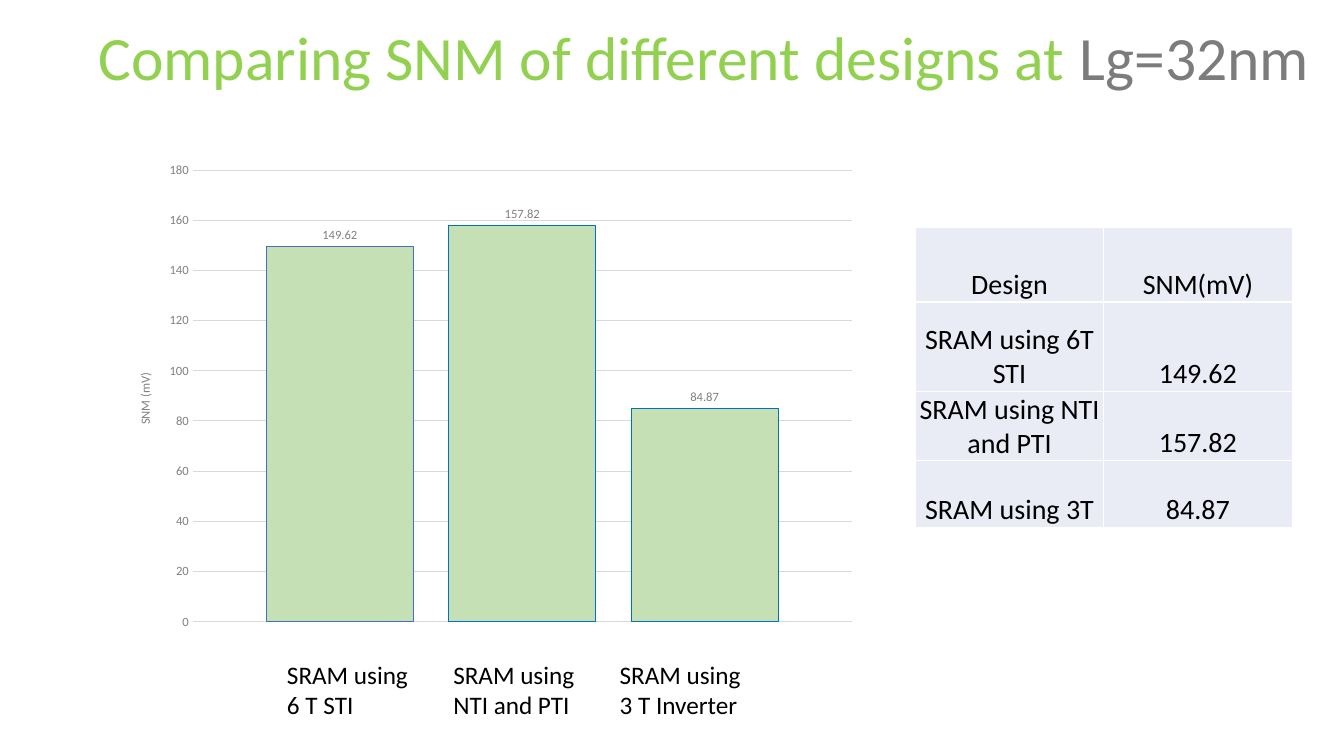
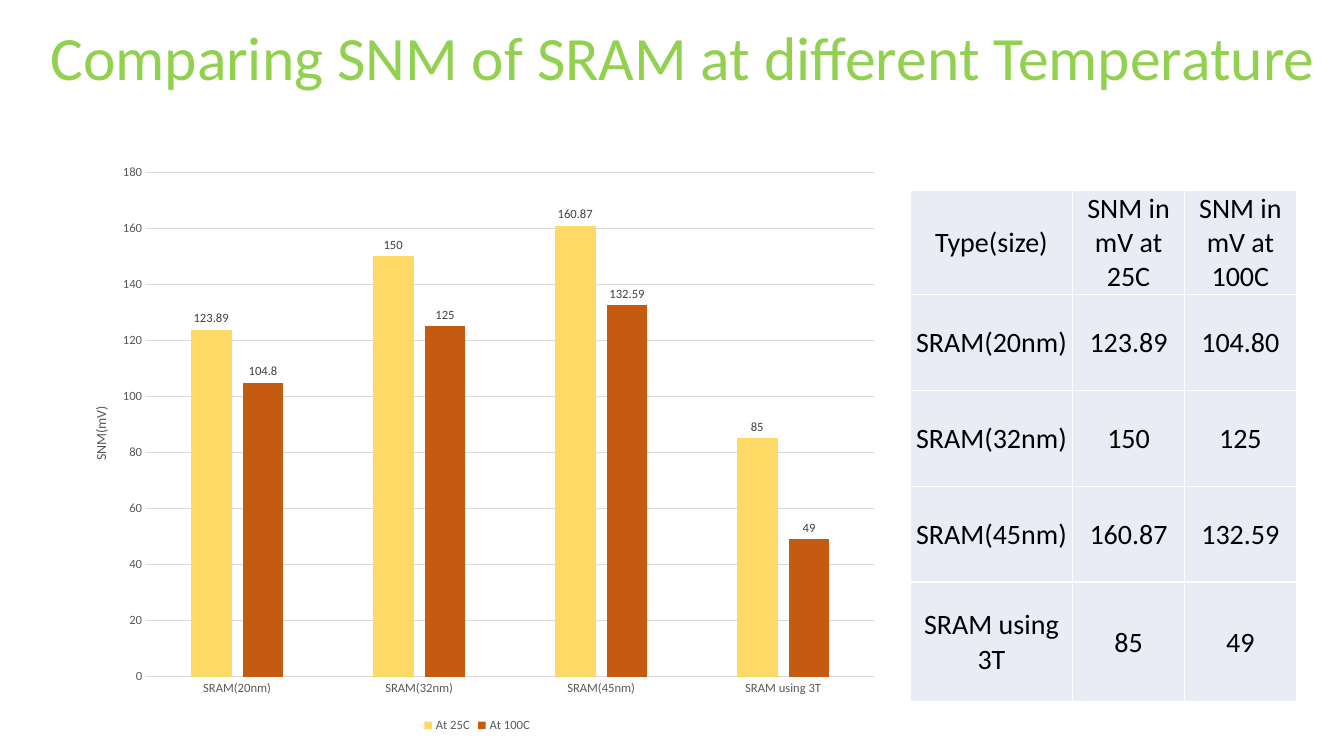
from dataclasses import dataclass
from typing import Optional

from lxml import etree
from pptx import Presentation
from pptx.chart.data import CategoryChartData
from pptx.dml.color import RGBColor
from pptx.enum import chart as ch, text as tx
from pptx.oxml import ns
from pptx.util import Pt

# Shared look
FONT = "Calibri"
LIME = RGBColor(0x92, 0xD0, 0x50)
SLATE = RGBColor(0x7C, 0x7C, 0x7C)
BLACK = RGBColor(0, 0, 0)
GREY = RGBColor(0x80, 0x80, 0x80)
DARK = RGBColor(0x59, 0x59, 0x59)
INK = RGBColor(0x40, 0x40, 0x40)
RULE = RGBColor(0xD9, 0xD9, 0xD9)
CELL = RGBColor(0xE9, 0xEB, 0xF5)
MINT = RGBColor(0xC5, 0xE0, 0xB4)
BLUE = RGBColor(0x43, 0x6F, 0xC0)
AZURE = RGBColor(0x00, 0x70, 0xC0)
GOLD = RGBColor(0xFF, 0xD9, 0x66)
RUST = RGBColor(0xC5, 0x5A, 0x11)


@dataclass
class Box:
    x: float
    y: float
    w: float
    h: float

    def pts(self) -> tuple:
        return Pt(self.x), Pt(self.y), Pt(self.w), Pt(self.h)


@dataclass
class Bar:
    name: str
    vals: list
    fill: RGBColor
    line: Optional[RGBColor] = None


@dataclass
class Graph:
    box: Box
    plot: tuple  # inner plot area, as fractions of the chart
    cats: list
    bars: list
    gap: int
    lap: int
    unit: str
    unit_y: float
    unit_size: float
    tone: RGBColor
    mark: RGBColor
    keyed: bool  # show category names and legend


@dataclass
class Grid:
    box: Box
    cols: list
    rows: list
    cells: list
    anchor: tx.MSO_ANCHOR


def style(font, size: float, color: RGBColor) -> None:
    font.name, font.size, font.bold = FONT, Pt(size), False
    font.color.rgb = color


def add_run(par, words: str, size: float, color: RGBColor) -> None:
    run = par.add_run()
    run.text = words
    style(run.font, size, color)


def add_title(slide, box: Box, align, parts: list) -> None:
    title = slide.shapes.title
    title.left, title.top, title.width, title.height = box.pts()
    frame = title.text_frame
    frame.word_wrap = True
    frame.auto_size = tx.MSO_AUTO_SIZE.NONE
    frame.vertical_anchor = tx.MSO_ANCHOR.MIDDLE
    par = frame.paragraphs[0]
    par.alignment = align
    for words, color in parts:
        add_run(par, words, 44, color)


def add_label(slide, box: Box, lines: list) -> None:
    frame = slide.shapes.add_textbox(*box.pts()).text_frame
    frame.word_wrap = True
    frame.margin_left = frame.margin_right = 0
    for i, line in enumerate(lines):
        par = frame.add_paragraph() if i else frame.paragraphs[0]
        add_run(par, line, 18, BLACK)


def set_layout(node, spot: int, inner: bool, **sizes: float) -> None:
    """Give a chart part a fixed place inside the chart."""
    for old in node.findall(ns.qn("c:layout")):
        node.remove(old)
    layout = etree.Element(ns.qn("c:layout"))
    node.insert(spot, layout)
    manual = etree.SubElement(layout, ns.qn("c:manualLayout"))
    if inner:
        etree.SubElement(manual, ns.qn("c:layoutTarget")).set("val", "inner")
    for tag in ("xMode", "yMode"):
        etree.SubElement(manual, ns.qn("c:" + tag)).set("val", "edge")
    for tag, val in sizes.items():
        etree.SubElement(manual, ns.qn("c:" + tag)).set("val", str(val))


def add_graph(slide, g: Graph) -> None:
    data = CategoryChartData()
    data.categories = g.cats
    for bar in g.bars:
        data.add_series(bar.name, bar.vals)
    kind = ch.XL_CHART_TYPE.COLUMN_CLUSTERED
    chart = slide.shapes.add_chart(kind, *g.box.pts(), data).chart
    style(chart.font, 10, BLACK)
    chart.has_title = False
    chart.has_legend = g.keyed
    if g.keyed:
        chart.legend.position = ch.XL_LEGEND_POSITION.BOTTOM
        chart.legend.include_in_layout = False
        style(chart.legend.font, 9, g.tone)

    # Bars and their values
    plot = chart.plots[0]
    plot.vary_by_categories = False
    plot.gap_width, plot.overlap = g.gap, g.lap
    plot.has_data_labels = True
    marks = plot.data_labels
    marks.show_value = True
    marks.position = ch.XL_LABEL_POSITION.OUTSIDE_END
    style(marks.font, 9, g.mark)
    for bar, ser in zip(g.bars, plot.series):
        ser.format.fill.solid()
        ser.format.fill.fore_color.rgb = bar.fill
        if bar.line:
            ser.format.line.color.rgb = bar.line
            ser.format.line.width = Pt(0.75)

    # Axes
    cat, val = chart.category_axis, chart.value_axis
    for axis in (cat, val):
        axis.major_tick_mark = axis.minor_tick_mark = ch.XL_TICK_MARK.NONE
        style(axis.tick_labels.font, 9, g.tone)
    cat.visible = g.keyed
    cat.format.line.color.rgb = RULE
    cat.format.line.width = Pt(0.75)
    val.minimum_scale, val.maximum_scale, val.major_unit = 0, 180, 20
    val.format.line.fill.background()
    val.major_gridlines.format.line.color.rgb = RULE
    val.major_gridlines.format.line.width = Pt(0.75)
    title = val.axis_title
    add_run(title.text_frame.paragraphs[0], g.unit, g.unit_size, g.tone)
    body = title.text_frame._txBody.find(ns.qn("a:bodyPr"))
    body.set("rot", "-5400000")
    body.set("vert", "horz")

    # Places inside the chart
    set_layout(title._element, 1, False, x=0.03, y=g.unit_y)
    area = chart._chartSpace.find(".//" + ns.qn("c:plotArea"))
    set_layout(area, 0, True, **dict(zip("xywh", g.plot)))


def add_edges(cell) -> None:
    props = cell._tc.get_or_add_tcPr()
    for i, side in enumerate("LRTB"):
        line = etree.Element(ns.qn("a:ln" + side), w=str(Pt(1)))
        fill = etree.SubElement(line, ns.qn("a:solidFill"))
        etree.SubElement(fill, ns.qn("a:srgbClr")).set("val", "FFFFFF")
        props.insert(i, line)


def add_grid(slide, g: Grid) -> None:
    size = len(g.rows), len(g.cols)
    table = slide.shapes.add_table(*size, *g.box.pts()).table
    table.first_row = table.horz_banding = False
    for col, wide in zip(table.columns, g.cols):
        col.width = Pt(wide)
    for row, high, words in zip(table.rows, g.rows, g.cells):
        row.height = Pt(high)
        for cell, word in zip(row.cells, words):
            cell.margin_left = cell.margin_right = cell.margin_top = Pt(0.72)
            cell.margin_bottom = 0
            cell.vertical_anchor = g.anchor
            cell.fill.solid()
            cell.fill.fore_color.rgb = CELL
            add_edges(cell)
            par = cell.text_frame.paragraphs[0]
            par.alignment = tx.PP_ALIGN.CENTER
            add_run(par, word, 20, BLACK)


def show_designs(slide) -> None:
    add_title(slide, Box(63, 10, 890, 60), tx.PP_ALIGN.LEFT,
              [("Comparing SNM of different designs at ", LIME),
               ("Lg=32nm", SLATE)])
    names = [["SRAM using", "6 T STI"], ["SRAM using", "NTI and PTI"],
             ["SRAM using", "3 T Inverter"]]
    for i, lines in enumerate(names):
        add_label(slide, Box(205 + 118.8 * i, 467.3, 105, 51), lines)
    bars = [Bar("Series 1", [149.62], MINT, BLUE),
            Bar("Series 2", [157.82], MINT, AZURE),
            Bar("Series 3", [84.87], MINT, AZURE)]
    add_graph(slide, Graph(
        Box(80, 109.4, 539.3, 347), (0.107, 0.035, 0.873, 0.93), ["1"], bars,
        100, -24, "SNM (mV)", 0.447, 9, GREY, GREY, False))
    add_grid(slide, Grid(
        Box(653.8, 162.7, 269.2, 214), [134.6] * 2, [53, 64, 49, 48],
        [["Design", "SNM(mV)"], ["SRAM using 6T STI", "149.62"],
         ["SRAM using NTI and PTI", "157.82"], ["SRAM using 3T", "84.87"]],
        tx.MSO_ANCHOR.BOTTOM))


def show_heat(slide) -> None:
    add_title(slide, Box(24, 10, 928, 60), tx.PP_ALIGN.CENTER,
              [("Comparing SNM of SRAM at different Temperature", LIME)])
    cats = ["SRAM(20nm)", "SRAM(32nm)", "SRAM(45nm)", "SRAM using 3T"]
    cold = ["123.89", "150", "160.87", "85"]
    hot = ["104.80", "125", "132.59", "49"]
    add_grid(slide, Grid(
        Box(650.2, 136.1, 275.8, 363.2), [116, 79.9, 79.9],
        [72, 68.5, 68.5, 68.5, 85.7],
        [["Type(size)", "SNM in mV at 25C", "SNM in mV at 100C"],
         *zip(cats, cold, hot)], tx.MSO_ANCHOR.MIDDLE))
    bars = [Bar("At 25C", [float(v) for v in cold], GOLD),
            Bar("At 100C", [float(v) for v in hot], RUST)]
    add_graph(slide, Graph(
        Box(46, 109.4, 589.7, 416.9), (0.099, 0.033, 0.882, 0.864), cats, bars,
        219, -27, "SNM(mV)", 0.43, 10, DARK, INK, True))


def main() -> None:
    deck = Presentation()
    deck.slide_width, deck.slide_height = Pt(960), Pt(540)
    for show in (show_designs, show_heat):
        show(deck.slides.add_slide(deck.slide_layouts[5]))
    deck.save("out.pptx")


if __name__ == "__main__":
    main()
